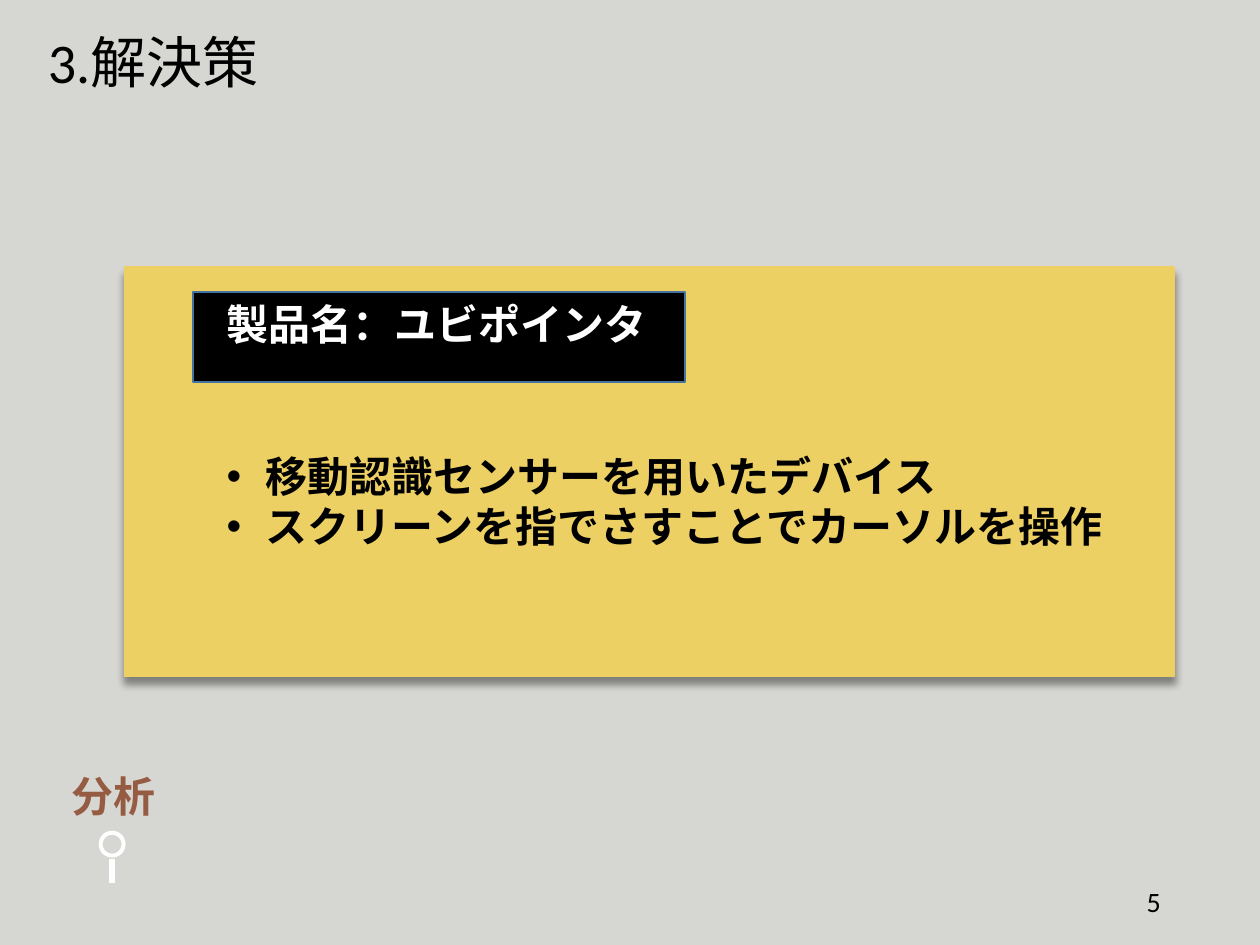
from lxml.etree import SubElement
from pptx import Presentation
from pptx.dml.color import RGBColor
from pptx.enum.shapes import MSO_CONNECTOR, MSO_SHAPE
from pptx.enum.text import MSO_ANCHOR, MSO_AUTO_SIZE, PP_ALIGN
from pptx.oxml import parse_xml
from pptx.oxml.ns import nsdecls, qn
from pptx.util import Inches, Pt

COLORS = {
    "background": "D6D7D2",
    "panel": "ECD063",
    "black": "000000",
    "white": "FFFFFF",
    "label_line": "43739E",
    "brown": "965B43",
}


def write(p, text, size=24, font="Calibri", color="black", bold=False, align=PP_ALIGN.LEFT):
    p.alignment = align
    r = p.add_run()
    r.text = text
    r.font.size = Pt(size)
    r.font.name = font
    r.font.bold = bold
    r.font.color.rgb = RGBColor.from_string(COLORS[color])
    SubElement(r.font._element, qn("a:ea")).set("typeface", font)


def add_box(shapes, kind, left, top, width, height, fill, line):
    s = shapes.add_shape(kind, Inches(left), Inches(top), Inches(width), Inches(height))
    s.shadow.inherit = False
    s.fill.solid()
    s.fill.fore_color.rgb = RGBColor.from_string(COLORS[fill])
    s.line.color.rgb = RGBColor.from_string(COLORS[line])
    s.line.width = Pt(1)
    return s


prs = Presentation()
prs.slide_width, prs.slide_height = Inches(10), Inches(7.5)
slide = prs.slides.add_slide(prs.slide_layouts[5])
slide.background.fill.solid()
slide.background.fill.fore_color.rgb = RGBColor.from_string(COLORS["background"])

title = slide.shapes.title
title.left, title.top = Inches(0.28), Inches(0.17)
title.width, title.height = Inches(1.89), Inches(0.64)
tf = title.text_frame
tf.word_wrap = True
tf.auto_size = MSO_AUTO_SIZE.NONE
tf.vertical_anchor = MSO_ANCHOR.TOP
write(tf.paragraphs[0], "3.解決策", size=32)

number = slide.shapes.add_textbox(Inches(7.06), Inches(6.95), Inches(2.25), Inches(0.4))
tf = number.text_frame
tf.word_wrap = True
tf.vertical_anchor = MSO_ANCHOR.MIDDLE
write(tf.paragraphs[0], "5", size=16, align=PP_ALIGN.RIGHT)

stage = slide.shapes.add_textbox(Inches(0.47), Inches(6.07), Inches(0.88), Inches(0.5))
stage.text_frame.word_wrap = False
write(stage.text_frame.paragraphs[0], "分析", color="brown", bold=True)

stem = slide.shapes.add_connector(
    MSO_CONNECTOR.STRAIGHT, Inches(0.89), Inches(6.82), Inches(0.89), Inches(7.01)
)
stem.line.color.rgb = RGBColor.from_string(COLORS["white"])
stem.line.width = Pt(3)
SubElement(stem._element.spPr, qn("a:effectLst"))

ring = add_box(slide.shapes, MSO_SHAPE.DONUT, 0.79, 6.6, 0.2, 0.2, "white", "white")
ring.adjustments[0] = 0.09
ring_color = ring._element.spPr.find(qn("a:solidFill")).find(qn("a:srgbClr"))
SubElement(ring_color, qn("a:alpha")).set("val", "95000")

group = slide.shapes.add_group_shape()
panel = add_box(group.shapes, MSO_SHAPE.RECTANGLE, 0.99, 2.12, 8.33, 3.25, "panel", "panel")
panel._element.spPr.find(qn("a:effectLst")).append(parse_xml(
    f'<a:outerShdw {nsdecls("a")} blurRad="{Pt(4)}" dist="{Pt(4)}" dir="5400000" rotWithShape="0">'
    f'<a:srgbClr val="{COLORS["black"]}"><a:alpha val="40000"/></a:srgbClr></a:outerShdw>'
))
add_box(group.shapes, MSO_SHAPE.RECTANGLE, 1.53, 2.32, 3.91, 0.71, "black", "label_line")

product = group.shapes.add_textbox(Inches(1.7), Inches(2.32), Inches(7.2), Inches(2.52))
tf = product.text_frame
tf.word_wrap = True
write(tf.paragraphs[0], "製品名：ユビポインタ", font="Arial", color="white", bold=True)
features = ["移動認識センサーを用いたデバイス", "スクリーンを指でさすことでカーソルを操作"]
for i, feature in enumerate(features):
    p = tf.add_paragraph()
    pPr = p._p.get_or_add_pPr()
    pPr.set("marL", str(Inches(0.31)))
    pPr.set("indent", str(Inches(-0.31)))
    SubElement(pPr, qn("a:buFont")).set("typeface", "Arial")
    SubElement(pPr, qn("a:buChar")).set("char", "•")
    p.space_before = Pt(58 if i == 0 else 0)
    write(p, feature, font="Arial", bold=True)

prs.save("out.pptx")
